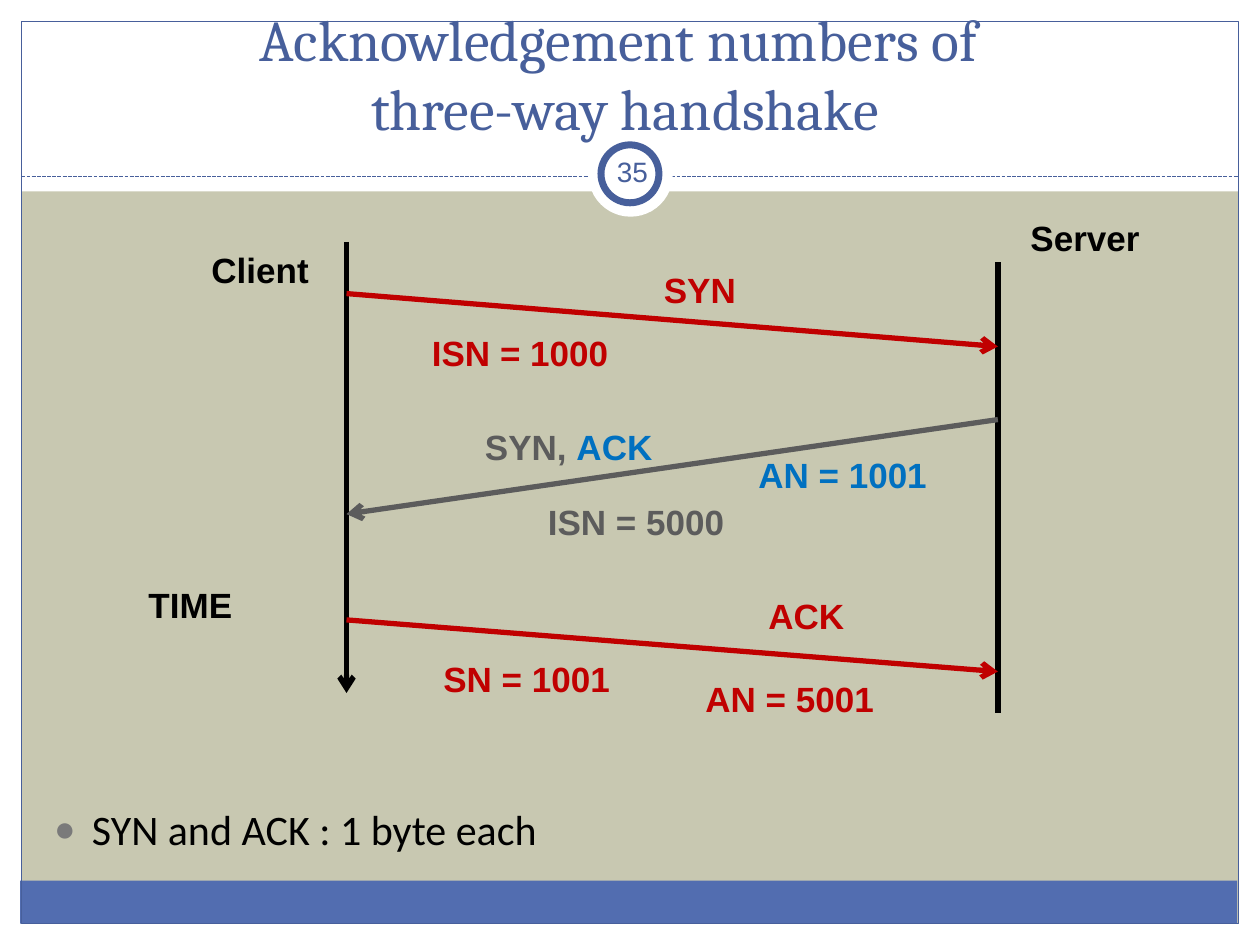
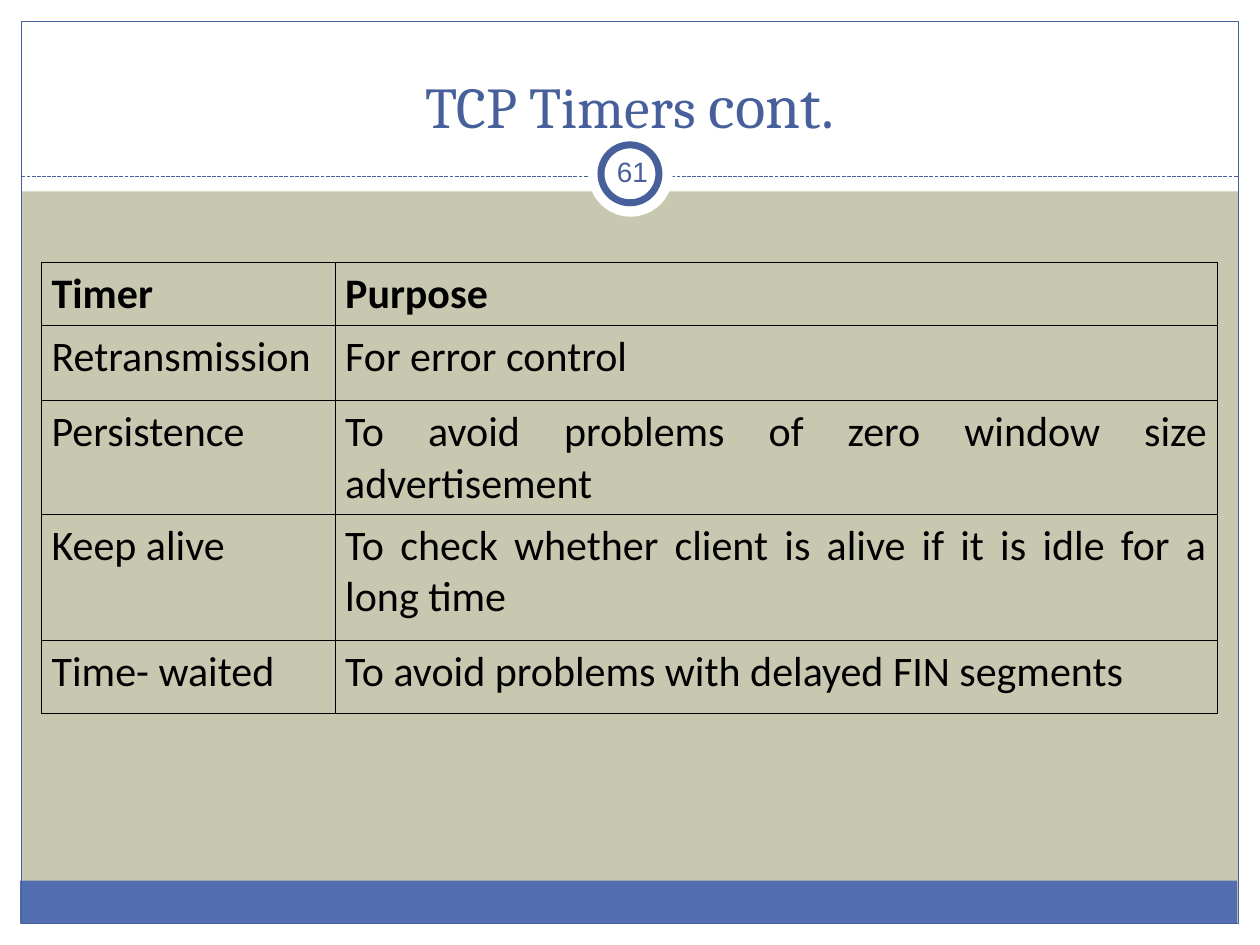
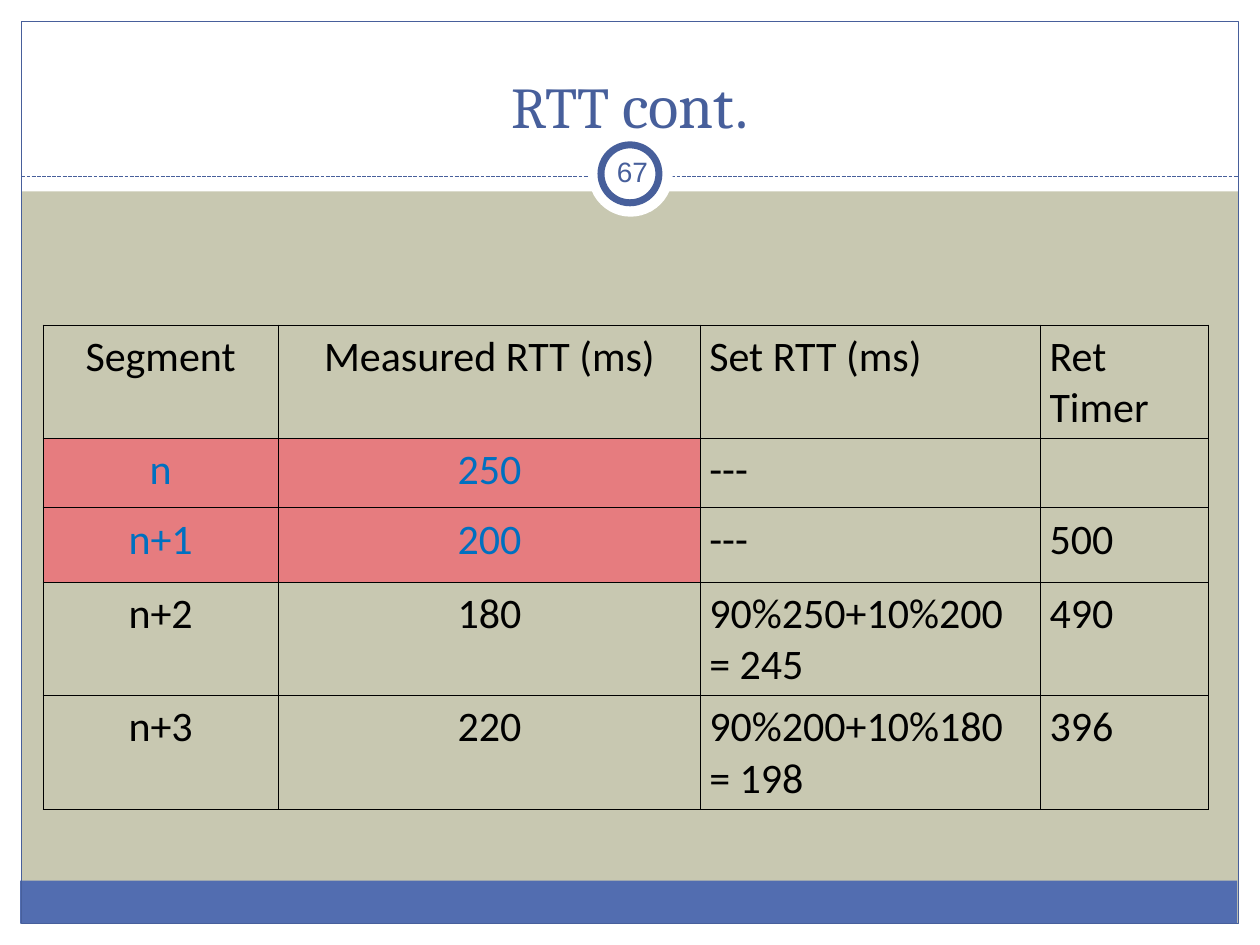
from dataclasses import dataclass
from lxml.etree import SubElement
from pptx import Presentation
from pptx.dml.color import RGBColor
from pptx.enum.dml import MSO_LINE
from pptx.enum.shapes import MSO_CONNECTOR, MSO_SHAPE
from pptx.enum.text import MSO_ANCHOR, MSO_AUTO_SIZE, PP_ALIGN
from pptx.oxml.ns import qn
from pptx.util import Inches, Pt


@dataclass(frozen=True)
class Theme:
    background: str = "C8C8B1"
    white: str = "FFFFFF"
    black: str = "000000"
    blue: str = "475F9B"
    band: str = "526DB0"
    red: str = "C00000"
    gray: str = "5C5C5C"
    bright_blue: str = "0070C0"
    bullet: str = "7A7A7A"
    highlight: str = "E67C7F"
    title_font: str = "Cambria"
    body_font: str = "Calibri"
    label_font: str = "Arial"
    title_size: float = 33
    continued_size: float = 36
    body_size: float = 24
    label_size: float = 20
    number_size: float = 16


theme = Theme()


def write(paragraph, parts, font_name, bold=False):
    """Fill a paragraph with (text, size, colour) parts."""
    paragraph.text = parts[0][0]
    for text, _, _ in parts[1:]:
        paragraph.add_run().text = text
    # A line break splits the first part into several runs.
    first_runs = len(paragraph.runs) - len(parts) + 1
    for run, (_, size, color) in zip(paragraph.runs, parts[:1] * first_runs + parts[1:]):
        run.font.name = font_name
        run.font.size = Pt(size)
        run.font.bold = bold
        run.font.color.rgb = RGBColor.from_string(color)


def add_line(slide, start, end, color, width, arrow=False):
    line = slide.shapes.add_connector(
        MSO_CONNECTOR.STRAIGHT, *(Inches(value) for value in start + end))
    line.line.color.rgb = RGBColor.from_string(color)
    line.line.width = Pt(width)
    if arrow:
        SubElement(line.line._get_or_add_ln(), qn("a:tailEnd"), type="arrow")
    SubElement(line.element.spPr, qn("a:effectLst"))
    return line


presentation = Presentation()
presentation.slide_width = Inches(10)
presentation.slide_height = Inches(7.5)
master = presentation.slide_master
master.background.fill.solid()
master.background.fill.fore_color.rgb = RGBColor.from_string(theme.background)
title_style = master.element.find(f".//{qn('p:titleStyle')}//{qn('a:defRPr')}")
title_style.set("sz", str(theme.title_size * 100))

# Titles and slide numbers
WIDE_TITLE = (0.25, 0.25, 9.5, 0.92)
headings = [
    (1, (0.67, 0.33, 8.58, 0.85), "Acknowledgement numbers of \vthree-way handshake", "", "35"),
    (5, WIDE_TITLE, "TCP Timers ", "cont.", "61"),
    (5, WIDE_TITLE, "RTT ", "cont.", "67"),
]
for layout_index, box, heading, continued, number in headings:
    slide = presentation.slides.add_slide(presentation.slide_layouts[layout_index])
    title = slide.shapes.title
    title.left, title.top, title.width, title.height = (Inches(value) for value in box)
    title.text_frame.auto_size = MSO_AUTO_SIZE.NONE
    title.text_frame.vertical_anchor = MSO_ANCHOR.BOTTOM
    paragraph = title.text_frame.paragraphs[0]
    paragraph.alignment = PP_ALIGN.CENTER
    parts = [(heading, theme.title_size, theme.blue)]
    if continued:
        parts.append((continued, theme.continued_size, theme.blue))
    write(paragraph, parts, theme.title_font)

    number_box = slide.shapes.add_textbox(Inches(4.77), Inches(1.12), Inches(0.5), Inches(0.48))
    frame = number_box.text_frame
    frame.word_wrap = True
    frame.vertical_anchor = MSO_ANCHOR.MIDDLE
    frame.margin_left = frame.margin_right = Inches(0.05)
    paragraph = frame.paragraphs[0]
    paragraph.alignment = PP_ALIGN.CENTER
    write(paragraph, [(number, theme.number_size, theme.blue)], theme.label_font)

handshake, timers, round_trip = presentation.slides

# Frame, bands and number ring, moved to the master so that every slide shares them
RECTANGLE, OVAL = MSO_SHAPE.RECTANGLE, MSO_SHAPE.OVAL
frame_shapes = [
    (RECTANGLE, (0, 7.33, 10, 0.17), theme.white, 0),
    (RECTANGLE, (0, 0, 10, 1.52), theme.white, 0),
    (RECTANGLE, (0, 0, 0.17, 7.5), theme.white, 0),
    (RECTANGLE, (9.83, 0, 0.17, 7.5), theme.white, 0),
    (RECTANGLE, (0.16, 6.99, 9.66, 0.34), theme.band, 0),
    (RECTANGLE, (0.17, 0.17, 9.66, 7.16), None, 0.75),
    (OVAL, (4.67, 1.05, 0.67, 0.67), theme.white, 0),
    (OVAL, (4.77, 1.15, 0.46, 0.46), theme.white, 4),
]
shared = []
for kind, box, fill, line_width in frame_shapes:
    shape = handshake.shapes.add_shape(kind, *(Inches(value) for value in box))
    shape.shadow.inherit = False
    if fill:
        shape.fill.solid()
        shape.fill.fore_color.rgb = RGBColor.from_string(fill)
    else:
        shape.fill.background()
    if line_width:
        shape.line.color.rgb = RGBColor.from_string(theme.blue)
        shape.line.width = Pt(line_width)
    else:
        shape.line.fill.background()
    shared.append(shape)
divider = add_line(handshake, (0.17, 1.4), (9.83, 1.4), theme.blue, 0.75)
divider.line.dash_style = MSO_LINE.SQUARE_DOT
shared.insert(6, divider)
for index, shape in enumerate(shared):
    shape.element.find(f".//{qn('p:cNvPr')}").set("id", str(100 + index))
    master.shapes.element.insert(2 + index, shape.element)

# Handshake: bullet below the diagram
body = handshake.placeholders[1]
body.left, body.top, body.width, body.height = (
    Inches(value) for value in (0.33, 6.33, 9.25, 0.67))
body.text_frame.auto_size = MSO_AUTO_SIZE.NONE
paragraph = body.text_frame.paragraphs[0]
paragraph.space_before = Pt(0)
properties = paragraph._p.get_or_add_pPr()
properties.set("marL", str(Inches(0.3)))
properties.set("indent", str(Inches(-0.3)))
bullet_color = SubElement(properties, qn("a:buClr"))
SubElement(bullet_color, qn("a:srgbClr"), val=theme.bullet)
SubElement(properties, qn("a:buSzPct"), val="85000")
SubElement(properties, qn("a:buChar"), char="●")
write(paragraph, [("SYN and ACK : 1 byte each", theme.body_size, theme.black)], theme.body_font)

# Handshake: time lines, messages and their labels
CLIENT_X, SERVER_X = 2.75, 7.92
diagram_lines = [
    ((CLIENT_X, 1.92), (CLIENT_X, 5.5), theme.black, True),
    ((SERVER_X, 2.08), (SERVER_X, 5.66), theme.black, False),
    ((CLIENT_X, 2.33), (SERVER_X, 2.75), theme.red, True),
    ((SERVER_X, 3.33), (CLIENT_X, 4.08), theme.gray, True),
    ((CLIENT_X, 4.92), (SERVER_X, 5.33), theme.red, True),
]
for start, end, color, arrow in diagram_lines:
    add_line(handshake, start, end, color, 3, arrow)

labels = [
    (1.58, 1.92, 1, [("Client", theme.black)]),
    (8.08, 1.67, 1.17, [("Server", theme.black)]),
    (1.08, 4.58, 0.92, [("TIME", theme.black)]),
    (5.17, 2.08, 0.83, [("SYN", theme.red)]),
    (3.33, 2.58, 2, [("ISN = 1000", theme.red)]),
    (3.75, 3.33, 1.58, [("SYN, ", theme.gray), ("ACK", theme.bright_blue)]),
    (5.92, 3.55, 1.75, [("AN = 1001", theme.bright_blue)]),
    (4.25, 3.92, 1.75, [("ISN = 5000", theme.gray)]),
    (6, 4.67, 0.83, [("ACK", theme.red)]),
    (3.42, 5.17, 1.58, [("SN = 1001", theme.red)]),
    (5.5, 5.33, 1.58, [("AN = 5001", theme.red)]),
]
for left, top, width, words in labels:
    label = handshake.shapes.add_textbox(Inches(left), Inches(top), Inches(width), Inches(0.44))
    label.text_frame.word_wrap = True
    label.text_frame.auto_size = MSO_AUTO_SIZE.SHAPE_TO_FIT_TEXT
    parts = [(text, theme.label_size, color) for text, color in words]
    write(label.text_frame.paragraphs[0], parts, theme.label_font, bold=True)

# Tables
timer_rows = [
    ("Timer", "Purpose"),
    ("Retransmission", "For error control"),
    ("Persistence", "To avoid problems of zero window size advertisement"),
    ("Keep alive", "To check whether client is alive if it is idle for a long time"),
    ("Time- waited", "To avoid problems with delayed FIN segments"),
]
round_trip_rows = [
    ("Segment", "Measured RTT (ms)", "Set RTT (ms)", "Ret Timer"),
    ("n", "250", "---", ""),
    ("n+1", "200", "---", "500"),
    ("n+2", "180", "90%250+10%200 = 245", "490"),
    ("n+3", "220", "90%200+10%180 = 198", "396"),
]
# Each: slide, left, top, column widths, row heights, rows, side margin,
# bold header, number of centred columns, highlighted rows
tables = [
    (timers, 0.33, 2.08, (2.33, 7), (0.5, 0.6, 0.9, 1, 0.58), timer_rows, 0.08, True, 0, ()),
    (round_trip, 0.34, 2.58, (1.87, 3.35, 2.7, 1.33), (0.8, 0.55, 0.59, 0.8, 0.8),
     round_trip_rows, 0.07, False, 2, (1, 2)),
]
for slide, left, top, widths, heights, rows, margin, bold_header, centred, highlighted in tables:
    table = slide.shapes.add_table(
        len(rows), len(widths), Inches(left), Inches(top),
        Inches(sum(widths)), Inches(sum(heights))).table
    table.first_row = table.horz_banding = False
    for column, width in zip(table.columns, widths):
        column.width = Inches(width)
    for row, height in zip(table.rows, heights):
        row.height = Inches(height)
    for row_index, texts in enumerate(rows):
        for column_index, text in enumerate(texts):
            cell = table.cell(row_index, column_index)
            cell.margin_left = cell.margin_right = Inches(margin)
            is_centred = column_index < centred
            is_highlighted = is_centred and row_index in highlighted
            cell_properties = cell._tc.get_or_add_tcPr()
            for side in ("a:lnL", "a:lnR", "a:lnT", "a:lnB"):
                border = SubElement(cell_properties, qn(side), w=str(Pt(0.45)))
                border_fill = SubElement(border, qn("a:solidFill"))
                SubElement(border_fill, qn("a:srgbClr"), val=theme.black)
            if is_highlighted:
                cell.fill.solid()
                cell.fill.fore_color.rgb = RGBColor.from_string(theme.highlight)
            else:
                cell.fill.background()
            paragraph = cell.text_frame.paragraphs[0]
            paragraph.alignment = PP_ALIGN.CENTER if is_centred else PP_ALIGN.JUSTIFY
            color = theme.bright_blue if is_highlighted else theme.black
            if text:
                write(paragraph, [(text, theme.body_size, color)], theme.body_font,
                      bold=bold_header and row_index == 0)

presentation.save("out.pptx")
